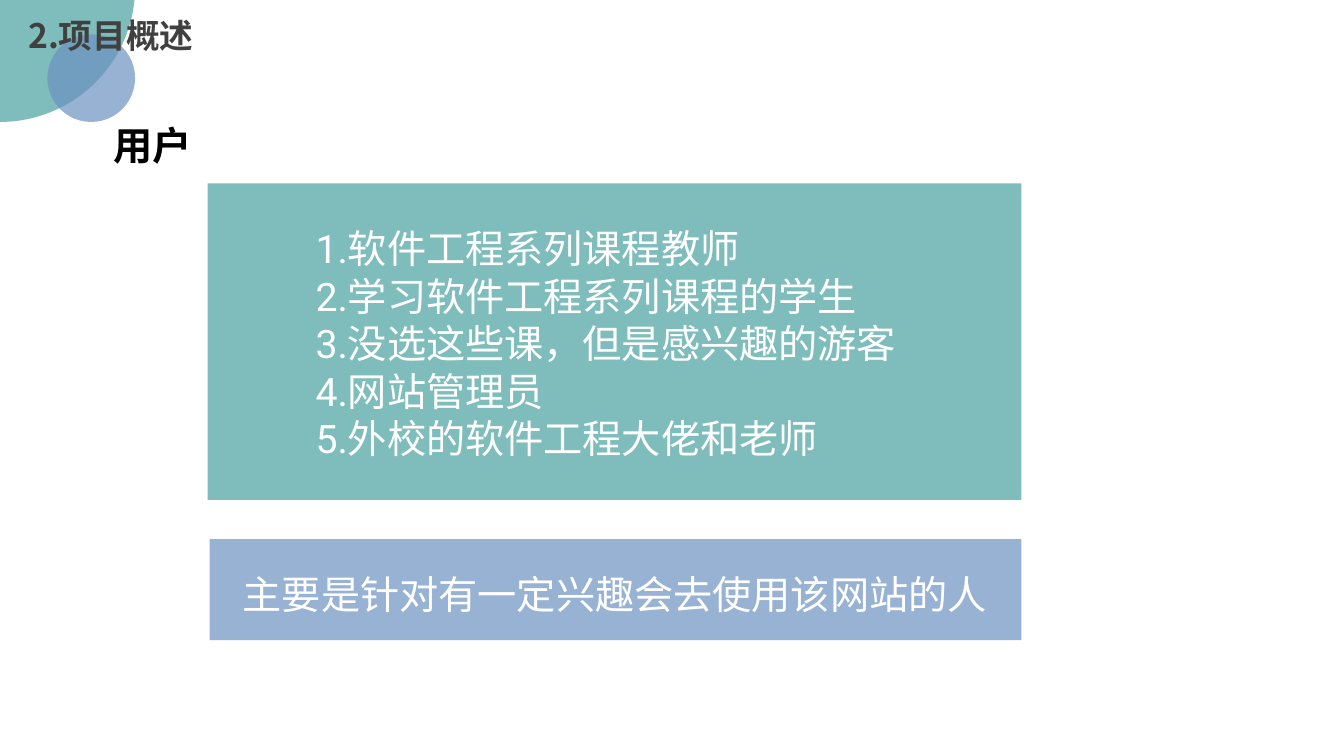
from lxml import etree
from pptx import Presentation
from pptx.dml.color import RGBColor
from pptx.enum.shapes import MSO_SHAPE
from pptx.enum.text import MSO_ANCHOR, MSO_AUTO_SIZE, PP_ALIGN
from pptx.oxml.ns import qn
from pptx.util import Inches, Pt

RECTANGLE, OVAL = MSO_SHAPE.RECTANGLE, MSO_SHAPE.OVAL
COLORS = {"teal": "48A2A0", "blue": "6C92C0", "gray": "404040",
          "black": "000000", "white": "FFFFFF"}
CJK_FONT, LIST_FONT = "Noto Sans CJK SC", "Roboto"

deck = Presentation()
deck.slide_width, deck.slide_height = Inches(13.33), Inches(7.5)
page = deck.slides.add_slide(deck.slide_layouts[1])
title, user_list = page.placeholders


def add_panel(kind, color, *place):
    """Add a borderless shape with a 70 % opaque fill."""
    panel = page.shapes.add_shape(kind, *map(Inches, place))
    panel.shadow.inherit = False
    panel.fill.solid()
    panel.fill.fore_color.rgb = RGBColor.from_string(COLORS[color])
    color_node = panel.fill._xPr.find(".//" + qn("a:srgbClr"))
    etree.SubElement(color_node, qn("a:alpha"), val="70000")
    panel.line.fill.background()
    # Panels stay behind the title and list placeholders
    title._element.addprevious(panel._element)


def write_text(box, lines, place, size, color, font, bold=False, line_height=None):
    """Place a text box or placeholder and format its lines."""
    box.left, box.top, box.width, box.height = map(Inches, place)
    frame = box.text_frame
    frame.text = "\n".join(lines)
    frame.word_wrap = True
    frame.auto_size = MSO_AUTO_SIZE.NONE
    frame.vertical_anchor = MSO_ANCHOR.TOP
    for para in frame.paragraphs:
        para.alignment = PP_ALIGN.LEFT
        para.space_before = Pt(0)
        if line_height:
            para.line_spacing = Pt(line_height)
        settings = para._p.get_or_add_pPr()
        settings.set("marL", "0")
        settings.set("indent", "0")
        etree.SubElement(settings, qn("a:buNone"))
        for span in para.runs:
            span.font.size, span.font.bold, span.font.name = Pt(size), bold, font
            span.font.color.rgb = RGBColor.from_string(COLORS[color])
            etree.SubElement(span._r.rPr, qn("a:ea"), typeface=CJK_FONT)


# Panels and corner circles
add_panel(RECTANGLE, "blue", 2.08, 5.35, 8.05, 1)
add_panel(RECTANGLE, "teal", 2.06, 1.82, 8.07, 3.14)
add_panel(OVAL, "teal", -1.34, -1.47, 2.68, 2.68)
add_panel(OVAL, "blue", 0.47, 0.34, 0.87, 0.87)

# Title and heading
write_text(title, ["2.项目概述"], (0.18, 0.09, 1.9, 0.5), 24, "gray", CJK_FONT,
           bold=True, line_height=29.5)
heading = page.shapes.add_textbox(0, 0, 0, 0)
write_text(heading, ["用户"], (1.03, 1.15, 0.99, 0.57), 28, "black", CJK_FONT,
           bold=True, line_height=34)

# User groups
user_groups = ["软件工程系列课程教师", "学习软件工程系列课程的学生",
               "没选这些课，但是感兴趣的游客", "网站管理员", "外校的软件工程大佬和老师"]
write_text(user_list, [f"{number}.{group}" for number, group in enumerate(user_groups, 1)],
           (3.03, 2.17, 8.86, 2.93), 28, "white", LIST_FONT, line_height=34)

# Summary
summary = page.shapes.add_textbox(0, 0, 0, 0)
write_text(summary, ["主要是针对有一定兴趣会去使用该网站的人"], (2.31, 5.6, 7.81, 0.57),
           28, "white", CJK_FONT, line_height=34)

deck.save("out.pptx")
